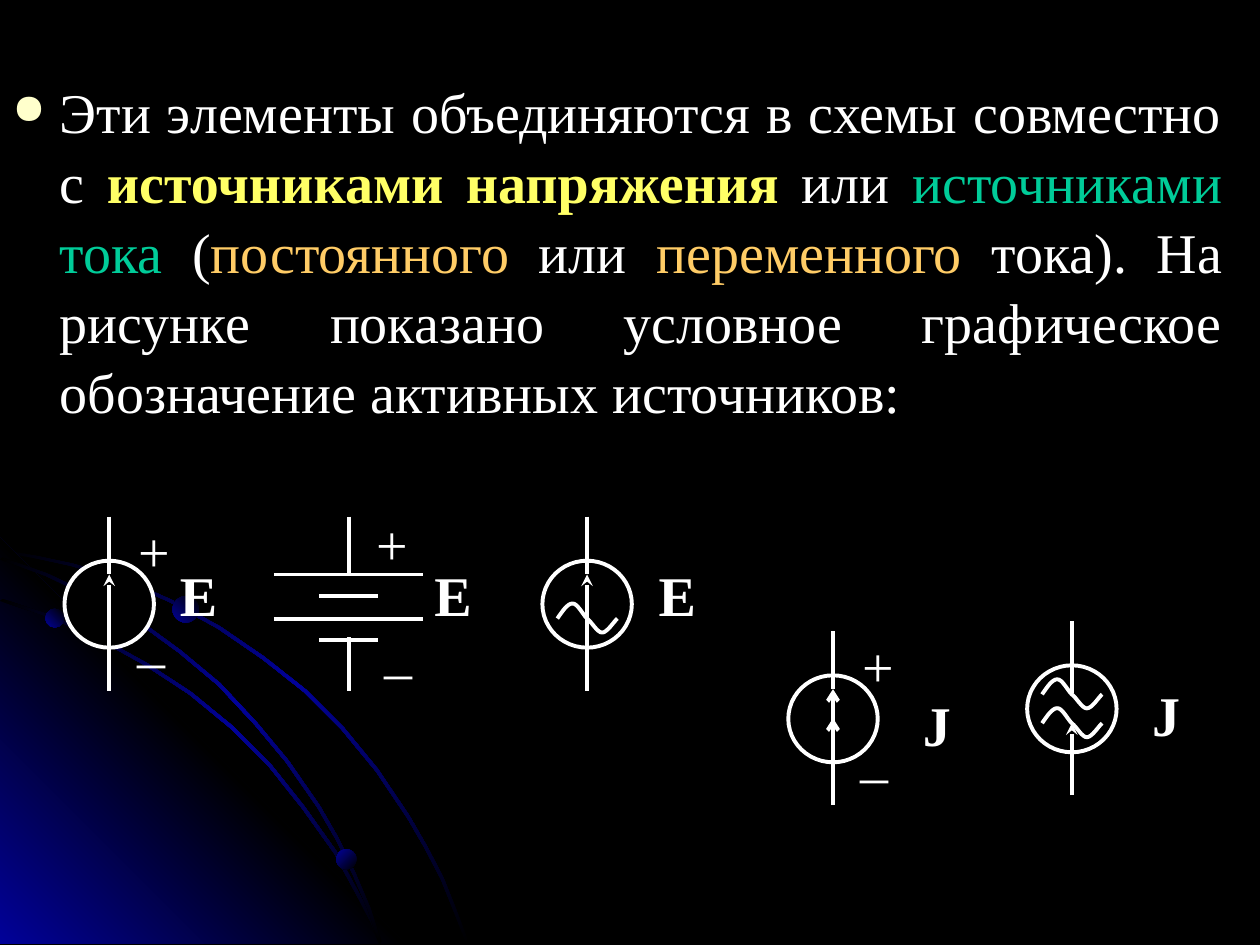
from lxml import etree
from pptx import Presentation
from pptx.dml.color import RGBColor
from pptx.enum.shapes import MSO_CONNECTOR, MSO_SHAPE
from pptx.enum.text import PP_ALIGN
from pptx.oxml.ns import qn
from pptx.util import Pt

STRAIGHT, OVAL = MSO_CONNECTOR.STRAIGHT, MSO_SHAPE.OVAL
CENTER, JUSTIFY = PP_ALIGN.CENTER, PP_ALIGN.JUSTIFY
BLACK = RGBColor(0x00, 0x00, 0x00)
WHITE = RGBColor(0xFF, 0xFF, 0xFF)
BLUE = RGBColor(0x01, 0x01, 0x99)
CREAM = RGBColor(0xFF, 0xFF, 0xCC)
YELLOW = RGBColor(0xFF, 0xFF, 0x66)
GREEN = RGBColor(0x00, 0xCC, 0x99)
ORANGE = RGBColor(0xFF, 0xCC, 0x66)
FONT, SIZE, STROKE = "Times New Roman", 32, 2.25

# Body text: (words, colour, bold)
BODY = [
    ("Эти элементы объединяются в схемы совместно с ", WHITE, False),
    ("источниками напряжения", YELLOW, True),
    (" или ", WHITE, False),
    ("источниками тока", GREEN, False),
    (" (", WHITE, False),
    ("постоянного", ORANGE, False),
    (" или ", WHITE, False),
    ("переменного", ORANGE, False),
    (" тока). На рисунке показано условное графическое обозначение "
     "активных источников:", WHITE, False),
]

# Background: lower edge of each arc, then the glowing balls (left, top, size, angle)
ARCS = [
    [(0, 315.4), (20.2, 319), (40.3, 323.3), (69.8, 331.9), (97.2, 344.2),
     (124.6, 359.3), (149.8, 376.6), (173.5, 395.3), (195.1, 416.9), (214.6, 440.6),
     (232.6, 467.3), (242.6, 484.6), (252, 502.6), (259.2, 520.6), (266.4, 539.3)],
    [(0, 343.4), (28.1, 352.8), (55.4, 365), (82.8, 380.2), (108, 396.7),
     (131.8, 416.2), (153.4, 437.8), (172.8, 462.2), (190.8, 487.4), (205.2, 514.1),
     (211.7, 527), (216.7, 539.3)],
    [(0, 319.7), (25.9, 329), (53.3, 342), (78.5, 355.7), (102.2, 373),
     (124.6, 391.7), (145.4, 414), (163.4, 435.6), (181.4, 461.5), (192.2, 480.2),
     (201.6, 499.7), (210.2, 519.8), (216.7, 539.3)],
]
ARC_SHIFT = (1.4, -1.2)
CORNER = [(0, 307.4), (231.8, 539.3), (0, 539.3)]
BALLS = [(25.9, 347.8, 10.8, 135), (192.2, 485.3, 11.5, 225), (98.6, 340.6, 15.1, 135)]

# Round sources; heights inside a symbol are measured from the top of its circle
LEAD_TOP, LEAD_END, FOOT = -25.2, 7.9, 74.2
CIRCLE_WIDTH, CIRCLE_HEIGHT = 51.1, 49.7
SOURCES = [
    dict(x=62.4, top=320.4, lead=LEAD_END, arrows=[(FOOT, LEAD_END)], head="stealth",
         waves=[], poles=True, name="Е", name_dx=34.1),
    dict(x=335.5, top=320.4, lead=LEAD_END, arrows=[(FOOT, LEAD_END)], head="stealth",
         waves=[33.1], poles=False, name="Е", name_dx=34.6),
    dict(x=476, top=385.9, lead=LEAD_END, arrows=[(FOOT, 24.5), (57.6, LEAD_END)],
         head="arrow", waves=[], poles=True, name="J", name_dx=42.4),
    dict(x=612.5, top=380.2, lead=15.8, arrows=[(FOOT, 33.1)], head="stealth",
         waves=[16.6, 33.1], poles=False, name="J", name_dx=36.9),
]
WAVE = [(-17, 0), (-14, -4.3), (-11.2, -8.6), (-8.3, -8.6), (-5.4, -8.6), (-2.9, -2.9),
        (0, 0), (2.9, 2.2), (5.8, 8), (8.6, 8), (11.5, 8), (15.5, 1.5), (17.3, 0)]
WAVE_STEPS = 8

# Battery: plates (half width, height) and leads (from, to)
BATTERY_X = 199.2
PLATES = [(42.7, 328.3), (17, 340.6), (42.7, 353.5), (17, 365.8)]
BATTERY_LEADS = [(295.2, 328.3), (364.3, 394.6)]
BATTERY_LABELS = [("+", 207.3, 290.9, False), ("–", 210.6, 362.9, False),
                  ("Е", 241.9, 320.4, True)]

deck = Presentation()
deck.slide_width, deck.slide_height = Pt(720), Pt(540)
page = deck.slides.add_slide(deck.slide_layouts[6])
page.background.fill.solid()
page.background.fill.fore_color.rgb = BLACK
shapes = page.shapes


def outline(points, close):
    corners = [(Pt(x), Pt(y)) for x, y in points]
    builder = shapes.build_freeform(*corners[0], scale=1.0)
    builder.add_line_segments(corners[1:], close=close)
    shape = builder.convert_to_shape()
    shape.shadow.inherit = False
    return shape


def stroke(shape):
    shape.line.color.rgb = WHITE
    shape.line.width = Pt(STROKE)


def glow(shape, colors, angle):
    """Fill with evenly spaced colours; the angle runs clockwise."""
    shape.line.fill.background()
    shape.fill.gradient()
    shape.fill.gradient_angle = 360 - angle
    stops = shape.element.find(".//" + qn("a:gsLst"))
    for stop in list(stops):
        stops.remove(stop)
    for index, color in enumerate(colors):
        place = index * 100000 // (len(colors) - 1)
        stop = etree.SubElement(stops, qn("a:gs"), pos=str(place))
        etree.SubElement(stop, qn("a:srgbClr"), val=str(color))


def oval(left, top, width, height):
    shape = shapes.add_shape(OVAL, Pt(left), Pt(top), Pt(width), Pt(height))
    shape.shadow.inherit = False
    return shape


def wire(x1, y1, x2, y2, head=None):
    line = shapes.add_connector(STRAIGHT, Pt(x1), Pt(y1), Pt(x2), Pt(y2))
    stroke(line)
    if head:
        etree.SubElement(line.line._get_or_add_ln(), qn("a:tailEnd"), type=head)
    etree.SubElement(line.element.spPr, qn("a:effectLst"))


def write(spans, left, top, width, height, align=CENTER, inset=(0, 0), spacing=None,
          bullet=None, indent=0):
    box = shapes.add_textbox(Pt(left), Pt(top), Pt(width), Pt(height))
    frame = box.text_frame
    frame.word_wrap = True
    frame.margin_left = frame.margin_right = Pt(inset[0])
    frame.margin_top = frame.margin_bottom = Pt(inset[1])
    para = frame.paragraphs[0]
    para.alignment = align
    if spacing:
        para.line_spacing = spacing
    if bullet:
        format_node = para._p.get_or_add_pPr()
        format_node.set("marL", str(Pt(indent)))
        format_node.set("indent", str(-Pt(indent)))
        color = etree.SubElement(format_node, qn("a:buClr"))
        etree.SubElement(color, qn("a:srgbClr"), val=str(CREAM))
        etree.SubElement(format_node, qn("a:buSzPct"), val="75000")
        etree.SubElement(format_node, qn("a:buChar"), char=bullet)
    for words, color, bold in spans:
        span = para.add_run()
        span.text = words
        span.font.name, span.font.size = FONT, Pt(SIZE)
        span.font.bold, span.font.color.rgb = bold, color


def label(text, left, top, bold=False):
    write([(text, WHITE, bold)], left, top, 34, 33)


def wave(x, y):
    points = [WAVE[0]]
    for first in range(0, len(WAVE) - 1, 3):
        a, b, c, d = WAVE[first:first + 4]
        for step in range(1, WAVE_STEPS + 1):
            t = step / WAVE_STEPS
            s = 1 - t
            points.append(tuple(s**3 * a[i] + 3 * s * s * t * b[i] + 3 * s * t * t * c[i]
                                + t**3 * d[i] for i in (0, 1)))
    shape = outline([(x + dx, y + dy) for dx, dy in points], False)
    shape.fill.background()
    stroke(shape)


# Background
def arc(edge):
    upper = [(x + ARC_SHIFT[0], y + ARC_SHIFT[1]) for x, y in reversed(edge)]
    glow(outline(edge + upper, True), [BLACK, BLUE, BLACK], 225)


arc(ARCS[0])
glow(outline(CORNER, True), [BLUE, BLACK, BLUE], 135)
for edge in ARCS[1:]:
    arc(edge)
for left, top, size, angle in BALLS:
    glow(oval(left, top, size, size), [BLACK, BLUE], angle)

# Body text
write(BODY, 0, 37.4, 705.6, 232.6, align=JUSTIFY, inset=(7.2, 5.6), spacing=1.04,
      bullet="●", indent=27)

# Battery
for half, y in PLATES:
    wire(BATTERY_X - half, y, BATTERY_X + half, y)
for start, end in BATTERY_LEADS:
    wire(BATTERY_X, start, BATTERY_X, end)
for text, left, top, bold in BATTERY_LABELS:
    label(text, left, top, bold)

# Round sources
for source in SOURCES:
    x, top = source["x"], source["top"]
    circle = oval(x - CIRCLE_WIDTH / 2, top, CIRCLE_WIDTH, CIRCLE_HEIGHT)
    circle.fill.solid()
    circle.fill.fore_color.rgb = BLACK
    stroke(circle)
    wire(x, top + LEAD_TOP, x, top + source["lead"])
    for start, end in source["arrows"]:
        wire(x, top + start, x, top + end, source["head"])
    for height in source["waves"]:
        wave(x, top + height)
    if source["poles"]:
        label("+", x + 8.7, top + LEAD_TOP)
        label("–", x + 6.9, top + 36.7)
    label(source["name"], x + source["name_dx"], top + (8.7 if source["name"] == "J" else 0), True)

deck.save("out.pptx")
